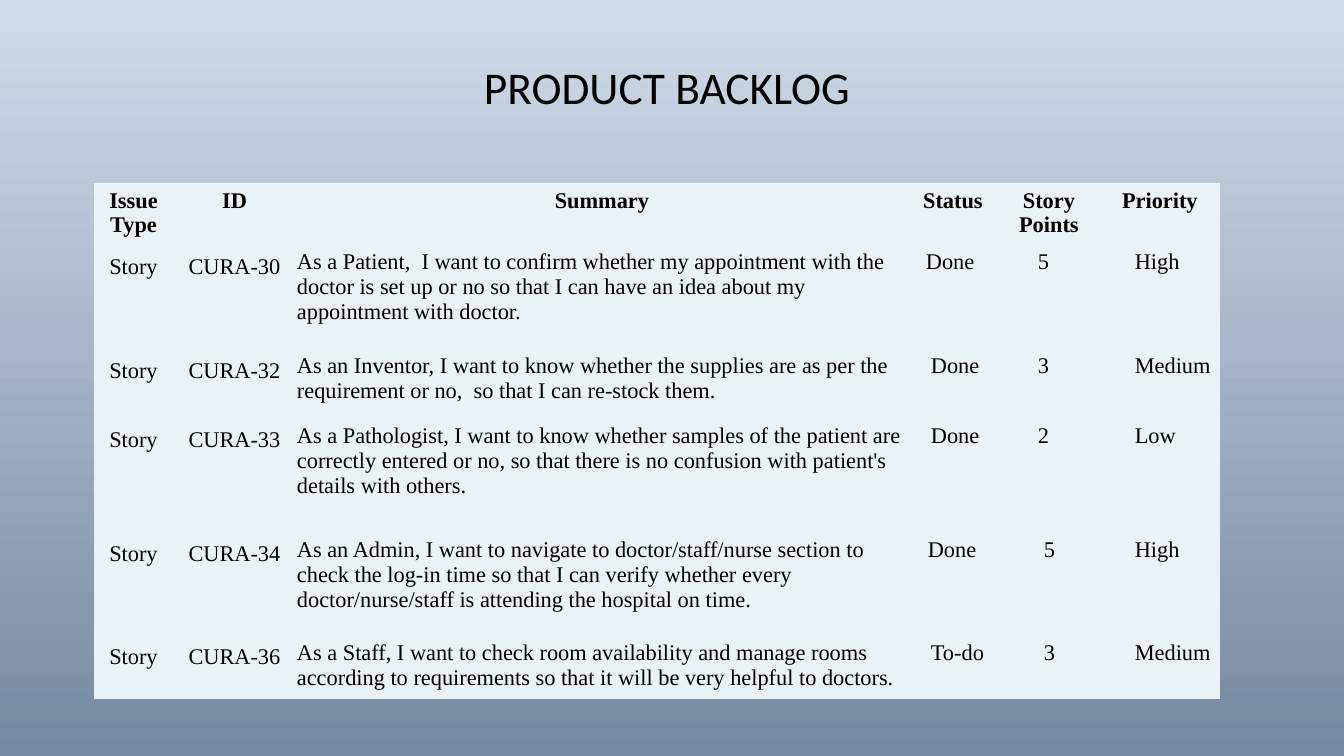
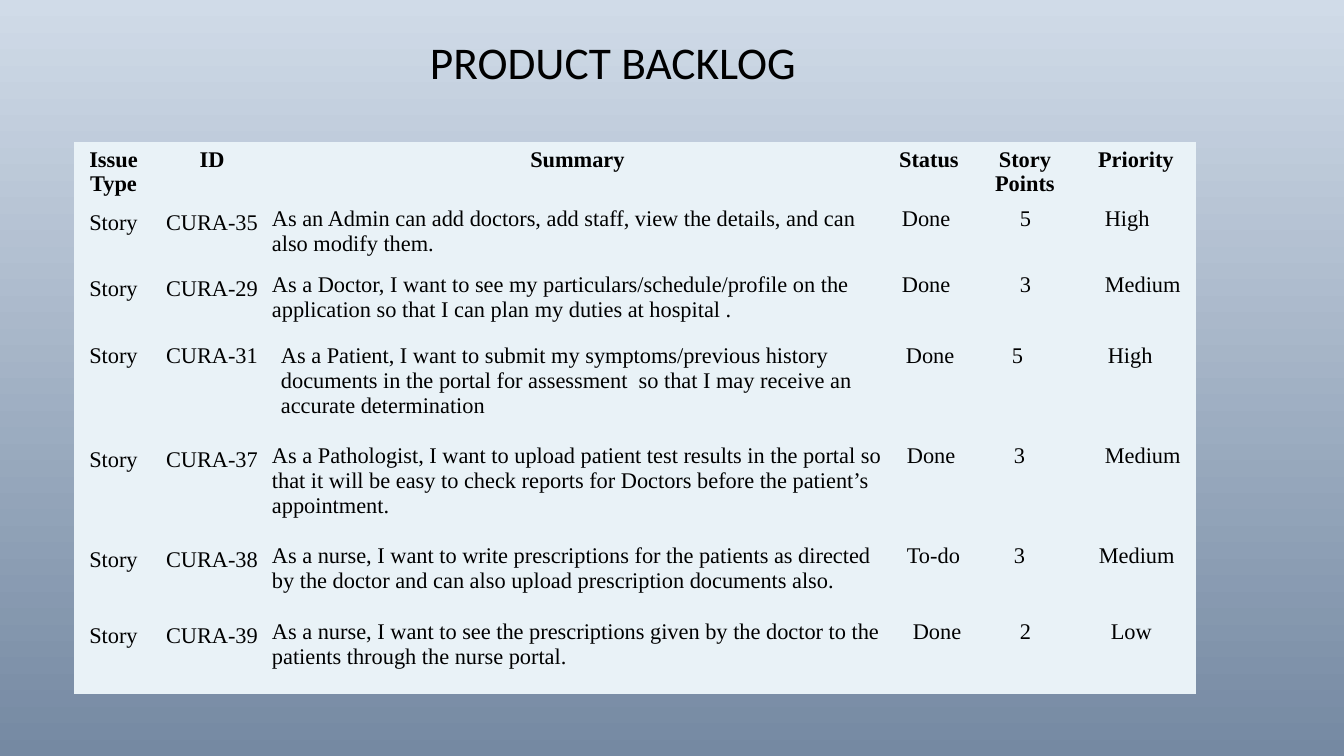
from pptx import Presentation
from pptx.dml.color import RGBColor
from pptx.enum.text import MSO_ANCHOR, PP_ALIGN
from pptx.util import Pt

EMU_PER_PX = 914400 / 100.8
COLORS = {"sky": "D0DBE8", "slate": "7589A2", "panel": "E9F2F7", "ink": "000000"}
HEADINGS = ["Issue Type", "ID", "Summary", "Status", "Story Points", "Priority"]

BACKLOGS = [
    {
        "title": (120, 60),
        "table": (94, 183),
        "columns": [79, 123, 612, 90, 102, 120],
        "rows": [66, 104, 70, 114, 103, 59],
        "stories": [
            ("CURA-30", "As a Patient,  I want to confirm whether my appointment with the doctor is set up or no so that I can have an idea about my appointment with doctor.",
             "Done", "5", "High", (1, 18, 40, 35)),
            ("CURA-32", "As an Inventor, I want to know whether the supplies are as per the requirement or no,  so that I can re-stock them.",
             "Done", "3", "Medium", (1, 23, 40, 35)),
            ("CURA-33", "As a Pathologist, I want to know whether samples of the patient are correctly entered or no, so that there is no confusion with patient's details with others.",
             "Done", "2", "Low", (1, 23, 40, 35)),
            ("CURA-34", "As an Admin, I want to navigate to doctor/staff/nurse section to check the log-in time so that I can verify whether every doctor/nurse/staff is attending the hospital on time.",
             "Done", "5", "High", (1, 20, 46, 35)),
            ("CURA-36", "As a Staff, I want to check room availability and manage rooms according to requirements so that it will be very helpful to doctors.",
             "To-do", "3", "Medium", (1, 23, 46, 35)),
        ],
    },
    {
        "title": (66, 35),
        "table": (74, 142),
        "columns": [79, 118, 613, 90, 102, 120],
        "rows": [60, 66, 67, 104, 100, 76, 75],
        "stories": [
            ("CURA-35", "As an Admin can add doctors, add staff, view the details, and can also modify them.",
             "Done", "5", "High", (1, 18, 46, 29)),
            ("CURA-29", "As a Doctor, I want to see my particulars/schedule/profile on the application so that I can plan my duties at hospital .",
             "Done", "3", "Medium", (1, 18, 46, 29)),
            ("CURA-31", "As a Patient, I want to submit my symptoms/previous history documents in the portal for assessment  so that I may receive an accurate determination",
             "Done", "5", "High", (10, 22, 38, 32)),
            ("CURA-37", "As a Pathologist, I want to upload patient test results in the portal so that it will be easy to check reports for Doctors before the patient’s appointment.",
             "Done", "3", "Medium", (1, 23, 40, 29)),
            ("CURA-38", "As a nurse, I want to write prescriptions for the patients as directed by the doctor and can also upload prescription documents also.",
             "To-do", "3", "Medium", (1, 23, 40, 23)),
            ("CURA-39", "As a nurse, I want to see the prescriptions given by the doctor to the patients through the nurse portal.",
             "Done", "2", "Low", (1, 29, 46, 35)),
        ],
    },
]


def px(length):
    return round(length * EMU_PER_PX)


def write(text_frame, text, font_name, size, alignment, bold=False):
    text_frame.text = text
    paragraph = text_frame.paragraphs[0]
    paragraph.alignment = alignment
    font = paragraph.runs[0].font
    font.name = font_name
    font.size = Pt(size)
    font.bold = bold
    font.color.rgb = RGBColor.from_string(COLORS["ink"])
    return paragraph


presentation = Presentation()
presentation.slide_width = px(1344)
presentation.slide_height = px(756)

background = presentation.slide_master.background.fill
background.gradient()
background.gradient_angle = 270
for stop, name in zip(background.gradient_stops, ["sky", "slate"]):
    stop.color.rgb = RGBColor.from_string(COLORS[name])

for backlog in BACKLOGS:
    slide = presentation.slides.add_slide(presentation.slide_layouts[6])
    columns, rows = backlog["columns"], backlog["rows"]
    left, top = backlog["table"]
    table = slide.shapes.add_table(
        len(rows), len(columns), px(left), px(top), px(sum(columns)), px(sum(rows))
    ).table
    table.first_row = False
    table.horz_banding = False
    table._tbl.tblPr[0].text = "{2D5ABB26-0587-4C30-8999-92F81FD0307C}"
    for column, width in zip(table.columns, columns):
        column.width = px(width)
    for row, height in zip(table.rows, rows):
        row.height = px(height)

    lines = [(HEADINGS, None)]
    lines += [(["Story", *story[:-1]], story[-1]) for story in backlog["stories"]]
    for row, (texts, indents) in zip(table.rows, lines):
        for index, (cell, text) in enumerate(zip(row.cells, texts)):
            cell.fill.solid()
            cell.fill.fore_color.rgb = RGBColor.from_string(COLORS["panel"])
            alignment = PP_ALIGN.CENTER
            if indents and index >= 2:
                alignment = PP_ALIGN.LEFT
                cell.margin_left = px(indents[index - 2])
                cell.margin_right = px(1)
                cell.margin_top = px(5 if indents[0] > 1 else 1)
                cell.margin_bottom = 0
            write(cell.text_frame, text, "Times New Roman", 16, alignment, bold=not indents)

    left, top = backlog["title"]
    title = slide.shapes.add_textbox(px(left), px(top), px(1094), px(59)).text_frame
    title.word_wrap = True
    title.vertical_anchor = MSO_ANCHOR.MIDDLE
    heading = write(title, "PRODUCT BACKLOG", "Calibri", 32.4, PP_ALIGN.CENTER)
    heading.line_spacing = 0.9

presentation.save("out.pptx")
